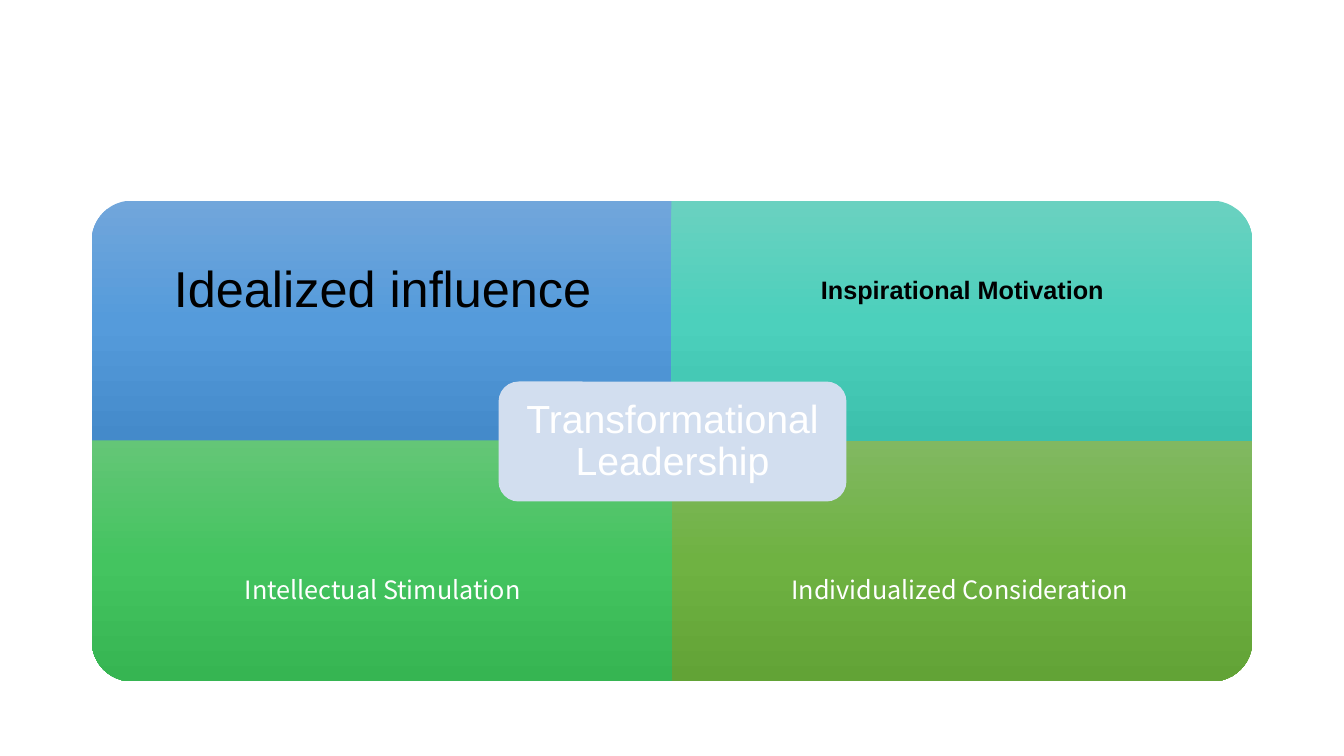
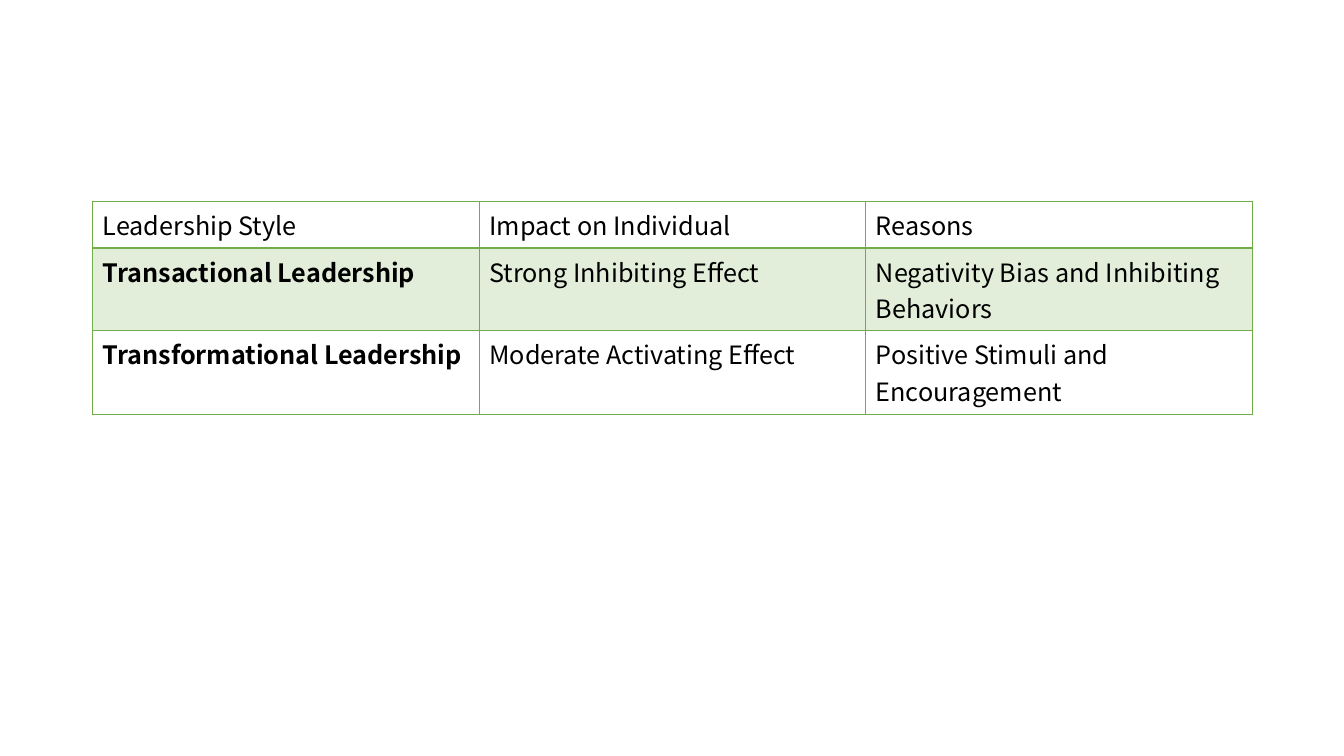
import pptx
import pptx.util
import pptx.dml.color
import pptx.enum.shapes
import pptx.enum.text
import pptx.oxml
import pptx.oxml.ns

SHAPE = pptx.enum.shapes.MSO_SHAPE
INCH = pptx.util.Inches
NS = pptx.oxml.ns.nsdecls("a")


def color(value):
    return pptx.dml.color.RGBColor.from_string(value)


class Deck:
    """Shared style, the content grid and the current slide."""
    WIDTH, HEIGHT = 13.33, 7.5
    LEFT, TOP = 0.92, 2
    COL, ROW = 5.75, 2.38
    OVERLAP = 0.01
    BLACK, WHITE, GREEN, PALE = "000000", "FFFFFF", "70AD47", "D2DEEF"
    BODY = {"name": "Noto Sans CJK JP", "size": 18, "bold": False, "color": BLACK}

    def __init__(self):
        self.prs = pptx.Presentation()
        self.prs.slide_width = INCH(self.WIDTH)
        self.prs.slide_height = INCH(self.HEIGHT)

    def slide(self):
        self.s = self.prs.slides.add_slide(self.prs.slide_layouts[6])

    def box(self, col, row, cols, rows):
        """Turn grid units into left, top, width and height."""
        return [INCH(v) for v in (self.LEFT + col * self.COL, self.TOP + row * self.ROW,
                                  cols * self.COL, rows * self.ROW)]

    def text(self, tf, text, inset=None, **style):
        """Write one paragraph; an inset also centres it both ways."""
        p = tf.paragraphs[0]
        r = p.add_run()
        r.text = text
        style = {**self.BODY, **style}
        r.font.color.rgb = color(style.pop("color"))
        style["size"] = pptx.util.Pt(style["size"])
        for key, value in style.items():
            setattr(r.font, key, value)
        if inset is not None:
            frame = {"word_wrap": True, "vertical_anchor": pptx.enum.text.MSO_ANCHOR.MIDDLE}
            frame.update({f"margin_{side}": INCH(inset)
                          for side in ("left", "top", "right", "bottom")})
            for key, value in frame.items():
                setattr(tf, key, value)
            p.alignment = pptx.enum.text.PP_ALIGN.CENTER
            p.line_spacing = 0.9

    def shape(self, kind, box):
        sp = self.s.shapes.add_shape(kind, *box)
        sp.shadow.inherit = False
        sp.line.fill.background()
        return sp

    def quadrant(self, col, row, rotation, stops):
        """Panel with one round corner, shaded from top to bottom of the slide."""
        x, y, w, h = self.box(col, row, 1, 1)
        # A slight overlap to the left and top closes the seams
        lap = INCH(self.OVERLAP)
        x, y, w, h = x - lap, y - lap, w + lap, h + lap
        if rotation % 180:
            x, y, w, h = x + (w - h) // 2, y + (h - w) // 2, h, w
        sp = self.shape(SHAPE.ROUND_1_RECTANGLE, (x, y, w, h))
        sp.rotation = rotation
        marks = "".join(f'<a:gs pos="{i * 50000}"><a:srgbClr val="{c}"/></a:gs>'
                        for i, c in enumerate(stops))
        grad = pptx.oxml.parse_xml(
            f'<a:gradFill {NS} rotWithShape="0"><a:gsLst>{marks}</a:gsLst>'
            '<a:lin ang="5400000" scaled="0"/></a:gradFill>')
        sp.fill.background()
        old = sp.element.spPr.find(pptx.oxml.ns.qn("a:noFill"))
        sp.element.spPr.replace(old, grad)

    def label(self, col, row, text, **style):
        """Text in the outer three quarters of a quadrant."""
        tb = self.s.shapes.add_textbox(*self.box(col, row * 1.25, 1, 0.75))
        self.text(tb.text_frame, text, 0.28, **style)

    def hub(self, text, **style):
        """Rounded box where the four quadrants meet."""
        sp = self.shape(SHAPE.ROUNDED_RECTANGLE, self.box(0.7, 0.75, 0.6, 0.5))
        sp.fill.solid()
        sp.fill.fore_color.rgb = color(self.PALE)
        self.text(sp.text_frame, text, 0.11, **style)

    def border(self, cell, widths):
        """Draw the four edges; widths maps an edge to points, else 1."""
        tcPr = cell._tc.get_or_add_tcPr()
        for i, edge in enumerate("LRTB"):
            width = pptx.util.Pt(widths.get(edge, 1))
            tcPr.insert(i, pptx.oxml.parse_xml(
                f'<a:ln{edge} {NS} w="{width}"><a:solidFill>'
                f'<a:srgbClr val="{self.GREEN}"/></a:solidFill></a:ln{edge}>'))

    def table(self, rows, heights):
        x, y, w, _ = self.box(0, 0, 2, 1)
        tbl = self.s.shapes.add_table(len(rows), len(rows[0]), x, y, w,
                                      INCH(sum(heights))).table
        tbl.first_row = tbl.horz_banding = False
        for i, (texts, height) in enumerate(zip(rows, heights)):
            tbl.rows[i].height = INCH(height)
            for j, text in enumerate(texts):
                cell = tbl.cell(i, j)
                self.text(cell.text_frame, text, bold=i > 0 and j == 0)
                if i % 2:
                    cell.fill.solid()
                    cell.fill.fore_color.rgb = color(self.GREEN)
                    clr = cell._tc.tcPr.find(".//" + pptx.oxml.ns.qn("a:srgbClr"))
                    clr.append(pptx.oxml.parse_xml(f'<a:alpha {NS} val="20000"/>'))
                else:
                    cell.fill.background()
                # The rule under the header is heavier
                self.border(cell, {0: {"B": 2}, 1: {"T": 2}}.get(i, {}))


def main():
    d = Deck()

    # Four components around the hub
    d.slide()
    white = {"color": d.WHITE}
    quadrants = [
        ("Idealized influence", 270, ("71A6DB", "559BDB", "448ACA"),
         {"name": "Arial", "size": 36}),
        ("Inspirational Motivation", 0, ("6AD1C0", "4CD0BC", "3CC0AC"),
         {"name": "Arial", "bold": True}),
        ("Intellectual Stimulation", 180, ("64C677", "44C460", "36B552"), white),
        ("Individualized Consideration ", 90, ("81B861", "6FB242", "62A336"), white),
    ]
    for i, (text, rotation, stops, style) in enumerate(quadrants):
        row, col = divmod(i, 2)
        d.quadrant(col, row, rotation, stops)
        d.label(col, row, text, **style)
    d.hub("Transformational Leadership", name="Arial", size=28, color=d.WHITE)

    # Comparison of the two styles: one line in the header, two in each row
    d.slide()
    d.table([
        ("Leadership Style", "Impact on Individual", "Reasons"),
        ("Transactional Leadership", "Strong Inhibiting Effect",
         "Negativity Bias and Inhibiting Behaviors"),
        ("Transformational Leadership", "Moderate Activating Effect",
         "Positive Stimuli and Encouragement"),
    ], heights=(0.46, 0.82, 0.83))

    d.prs.save("out.pptx")


if __name__ == "__main__":
    main()
